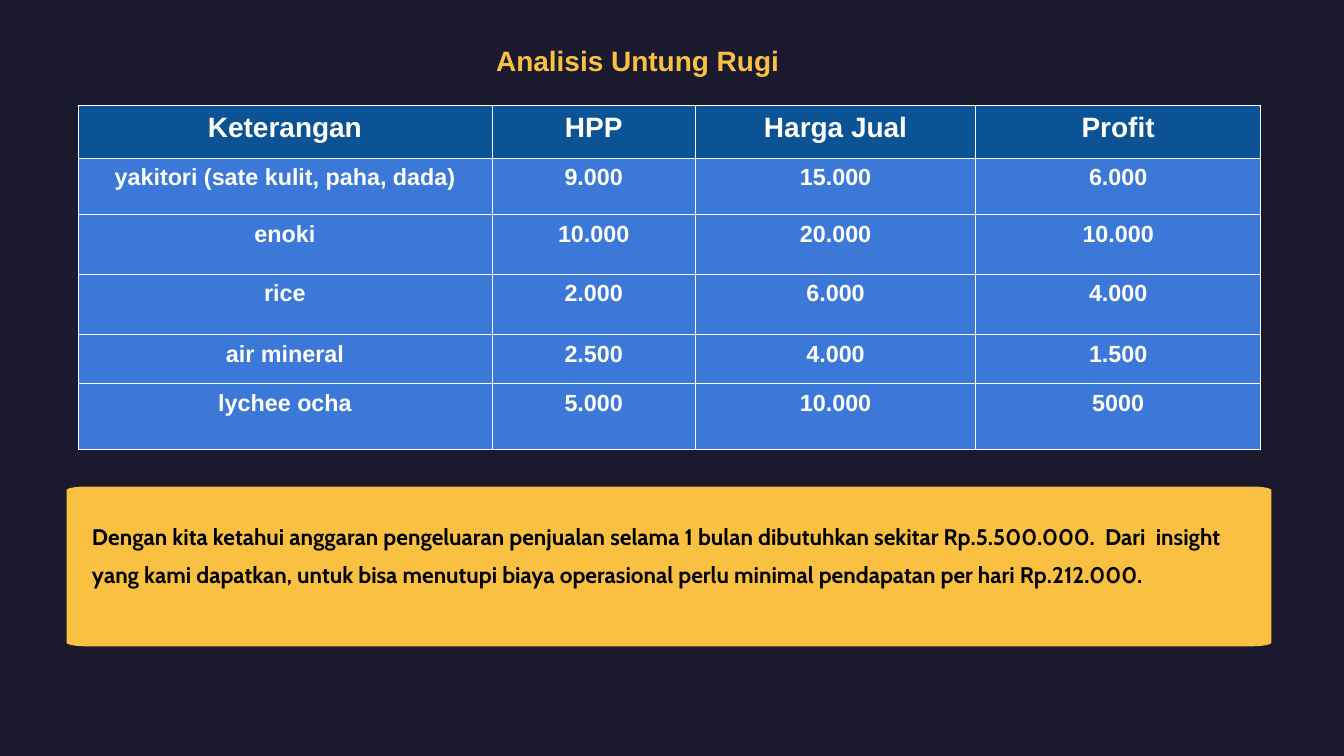
from math import cos, radians, sin

from lxml.etree import SubElement
from pptx import Presentation
from pptx.dml.color import RGBColor
from pptx.enum.text import MSO_AUTO_SIZE as AutoSize, PP_ALIGN as Align
from pptx.oxml.ns import qn
from pptx.util import Pt

TITLE = "Analisis Untung Rugi"
HEADER = ("Keterangan", "HPP", "Harga Jual", "Profit")
PRODUCTS = [
    ("yakitori (sate kulit, paha, dada)", "9.000", "15.000", "6.000"),
    ("enoki", "10.000", "20.000", "10.000"),
    ("rice", "2.000", "6.000", "4.000"),
    ("air mineral", "2.500", "4.000", "1.500"),
    ("lychee ocha", "5.000", "10.000", "5000"),
]
CONCLUSION = (
    "Dengan kita ketahui anggaran pengeluaran penjualan selama 1 bulan "
    "dibutuhkan sekitar Rp.5.500.000.  Dari  insight yang kami dapatkan, "
    "untuk bisa menutupi biaya operasional perlu minimal pendapatan per hari "
    "Rp.212.000."
)

NAVY, GOLD, WHITE, BLACK = "1A192E", "F9C041", "FFFFFF", "000000"
HEADER_BLUE, ROW_BLUE = "0B5394", "3C78D8"
COLUMN_WIDTHS = (443.5, 218.2, 300.2, 305.3)
ROW_HEIGHTS = (56.2, 60.5, 64.1, 64.8, 52.6, 70.6)
TABLE_LEFT, TABLE_TOP = 83.5, 113
PANEL = (71.3, 521.3, 1291, 171.2)
CORNER_WIDTH, CORNER_HEIGHT = 21.6, 4
INSET = 7.2


def color(hex_code):
    return RGBColor.from_string(hex_code)


def paint(part, hex_code):
    part.fill.solid()
    part.fill.fore_color.rgb = color(hex_code)


def set_margins(part, margin):
    part.margin_left = part.margin_right = Pt(margin)
    part.margin_top = part.margin_bottom = Pt(margin)


def write(frame, text, size, font_name, hex_code, align):
    frame.text = text
    paragraph = frame.paragraphs[0]
    paragraph.alignment = align
    font = paragraph.runs[0].font
    font.size, font.name, font.bold = Pt(size), font_name, True
    font.color.rgb = color(hex_code)
    return paragraph


def add_text(slide, box, margin, *style):
    frame = slide.shapes.add_textbox(*map(Pt, box)).text_frame
    frame.word_wrap = True
    frame.auto_size = AutoSize.SHAPE_TO_FIT_TEXT
    set_margins(frame, margin)
    return write(frame, *style)


def add_borders(cell, hex_code, width):
    properties = cell._tc.get_or_add_tcPr()
    for position, side in enumerate(("a:lnL", "a:lnR", "a:lnT", "a:lnB")):
        line = SubElement(properties, qn(side), w=str(Pt(width)))
        fill = SubElement(line, qn("a:solidFill"))
        SubElement(fill, qn("a:srgbClr"), val=hex_code)
        properties.insert(position, line)  # borders precede the cell fill


def add_profit_table(slide):
    rows = [HEADER, *PRODUCTS]
    table = slide.shapes.add_table(
        len(rows), len(HEADER), Pt(TABLE_LEFT), Pt(TABLE_TOP),
        Pt(sum(COLUMN_WIDTHS)), Pt(sum(ROW_HEIGHTS))).table
    for column, width in zip(table.columns, COLUMN_WIDTHS):
        column.width = Pt(width)
    for r, (texts, height) in enumerate(zip(rows, ROW_HEIGHTS)):
        table.rows[r].height = Pt(height)
        fill, size = (ROW_BLUE, 25) if r else (HEADER_BLUE, 30)
        for c, text in enumerate(texts):
            cell = table.cell(r, c)
            paint(cell, fill)
            set_margins(cell, INSET)
            add_borders(cell, WHITE, 0.75)
            write(cell.text_frame, text, size, "Arial", WHITE, Align.CENTER)


def add_panel(slide):
    """Draw a rectangle with flat elliptical corners, clockwise from the left."""
    left, top, width, height = PANEL
    near_x, far_x = left + CORNER_WIDTH, left + width - CORNER_WIDTH
    near_y, far_y = top + CORNER_HEIGHT, top + height - CORNER_HEIGHT
    centers = [(near_x, near_y), (far_x, near_y), (far_x, far_y), (near_x, far_y)]
    points = []
    for quarter, (x, y) in enumerate(centers):
        for step in range(0, 91, 10):
            angle = radians(180 + 90 * quarter + step)
            points.append((Pt(x + CORNER_WIDTH * cos(angle)),
                           Pt(y + CORNER_HEIGHT * sin(angle))))
    outline = slide.shapes.build_freeform(*points[0])
    outline.add_line_segments(points[1:], close=True)
    panel = outline.convert_to_shape()
    panel.shadow.inherit = False
    paint(panel, GOLD)
    panel.line.fill.background()


def main():
    deck = Presentation()
    deck.slide_width, deck.slide_height = Pt(1440), Pt(810)
    slide = deck.slides.add_slide(deck.slide_layouts[6])
    paint(slide.background, NAVY)
    add_text(slide, (295.9, 38.9, 774.7, 51.1), INSET,
             TITLE, 30, "Arial", GOLD, Align.CENTER)
    add_profit_table(slide)
    add_panel(slide)
    conclusion = add_text(slide, (98.6, 548.6, 1216, 111.6), 0,
                          CONCLUSION, 24.2, "Cabin", BLACK, Align.LEFT)
    conclusion.line_spacing = 1.4
    deck.save("out.pptx")


if __name__ == "__main__":
    main()
